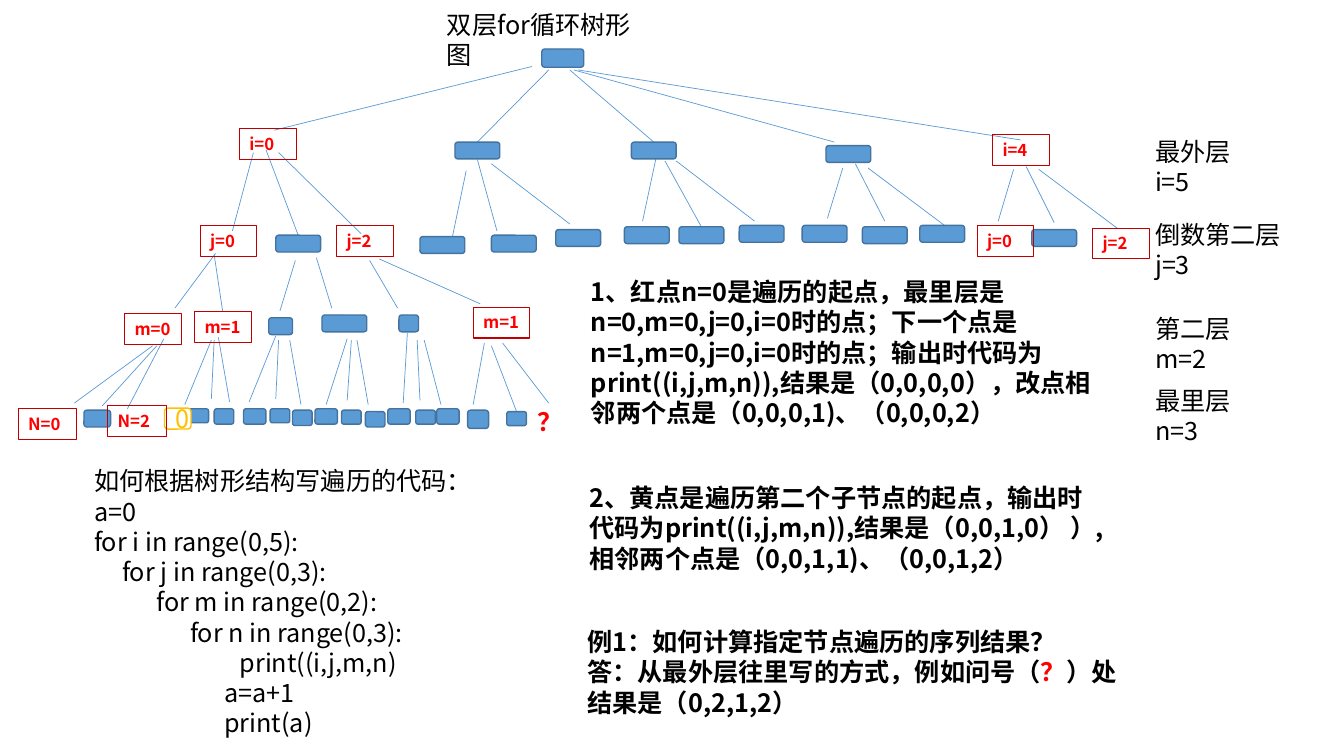
from pptx import Presentation
from pptx import util as u
from pptx.dml import color
from pptx.enum import shapes, text
from pptx.oxml import xmlchemy
from pptx.oxml.ns import qn
from lxml import etree

FONT = "Noto Sans CJK SC"
COLORS = {"node": "5B9BD5", "edge": "43739E", "text": "000000", "red": "FF0000",
          "tag": "C00000", "yellow": "FFC000", "white": "FFFFFF"}

TREE_LINES = [
    (380, 47.5, 196, 93), (392, 50, 341, 101.5), (407, 50, 467, 101.5),
    (410, 50, 596, 101.5), (413, 50, 729, 100),
    (181, 109, 166, 165), (190, 107, 213, 168), (199, 109, 258, 167),
    (333, 122, 323, 170), (341, 114, 355, 165), (351, 117, 407, 160),
    (469, 111, 459, 158), (475, 115, 501, 162), (483, 115, 539, 158),
    (602, 120, 591, 156), (611, 117, 632, 158), (620, 120, 676, 162),
    (724, 121, 713, 158), (733, 119, 753, 159), (742, 121, 798, 163),
    (154, 181, 125, 220), (153, 182, 159, 222), (211, 186, 200, 222),
    (226, 184, 237, 220), (264, 186, 284, 220), (271, 185, 343, 217),
    (109, 247, 53, 288), (112, 247, 73, 290), (117, 242, 91, 292),
    (151, 243, 132, 289), (153, 243, 151, 285), (156, 241, 164, 287),
    (197, 240, 178, 287), (199, 243, 197, 285), (207, 243, 215, 289),
    (248, 242, 233, 289), (251, 243, 248, 286), (255, 243, 263, 289),
    (291, 238, 288, 288), (298, 243, 300, 286), (303, 243, 315, 289),
    (346, 245, 338, 289), (351, 247, 369, 294), (359, 245, 392, 288),
]
WIDE_NODES = [
    (325, 101.5), (451, 101.5), (590, 104),
    (197, 168), (300, 169), (351, 168), (397, 164), (446, 162), (485, 162),
    (528, 161), (573, 161), (616, 162), (657, 161), (737, 164), (230, 225),
]
SMALL_NODES = [
    (387, 35, 30, 13), (192, 227, 17, 12), (285, 225, 14, 12), (60, 293, 19, 12),
    (135, 292, 14, 10), (153, 292, 14, 11), (174, 292, 16, 11), (193, 292, 14, 10),
    (209, 293, 14, 11), (225, 292, 16, 11), (244, 293, 14, 10), (261, 294, 14, 11),
    (277, 292, 16, 11), (297, 293, 14, 10), (312, 292, 16, 11), (334, 293, 15, 13),
    (362, 294, 14, 10),
]
TAGS = [
    ("i=0", 171, 92), ("i=4", 709, 96), ("j=0", 143, 161), ("j=2", 240.5, 161),
    ("j=0", 698, 161), ("j=2", 780.5, 163), ("m=0", 89, 224), ("m=1", 139, 222.5),
    ("m=1", 338, 219.5), ("N=0", 13, 292), ("N=2", 77, 289.5),
]
LEVELS = [("最外层i=5", 94, 86), ("倒数第二层j=3", 153, 120),
          ("第二层m=2", 220, 86), ("最里层n=3", 271.5, 86)]
CODE = [
    ("如何根据树形结构写遍历的代码：", 0), ("a=0", 0), ("for i in range(0,5):", 0),
    ("for j in range(0,3):", 20), ("for m in range(0,2):", 44.5),
    ("for n in range(0,3):", 68.5), ("print((i,j,m,n)", 104),
    ("a=a+1", 93), ("print(a)", 93),
]
NOTES = [
    (415, 194, 381, 138, [[
        ("1、红点n=0是遍历的起点，最里层是n=0,m=0,j=0,i=0时的点；下一个点是"
         "n=1,m=0,j=0,i=0时的点；输出时代码为print((i,j,m,n)),结果是（0,0,0,0），"
         "改点相邻两个点是（0,0,0,1)、（0,0,0,2）", "text")]]),
    (414, 341, 381, 95, [[
        ("2、黄点是遍历第二个子节点的起点，输出时代码为print((i,j,m,n)),"
         "结果是（0,0,1,0） ）,相邻两个点是（0,0,1,1)、（0,0,1,2）", "text")]]),
    (412.5, 444, 396, 73, [
        [("例1：如何计算指定节点遍历的序列结果？", "text")],
        [("答：从最外层往里写的方式，例如问号（", "text"), ("？", "red"),
         ("）处结果是（0,2,1,2）", "text")]]),
    (377, 286.5, 25, 29, [[("？", "red")]]),
]


def rgb(name):
    return color.RGBColor.from_string(COLORS[name])


def place(sp, x, y, w, h):
    sp.left, sp.top, sp.width, sp.height = (u.Pt(v) for v in (x, y, w, h))


def set_east_asian(rPr):
    ea = etree.SubElement(rPr, qn("a:ea"))
    ea.set("typeface", FONT)


def fill_text(sp, paragraphs, size=18, bold=False, align=text.PP_ALIGN.LEFT,
              anchor=text.MSO_ANCHOR.TOP):
    tf = sp.text_frame
    tf.word_wrap = True
    tf.auto_size = text.MSO_AUTO_SIZE.NONE
    tf.vertical_anchor = anchor
    for i, runs in enumerate(paragraphs):
        p = tf.paragraphs[0] if i == 0 else tf.add_paragraph()
        p.alignment = align
        p.line_spacing = u.Pt(size * 1.2)
        p.space_before = u.Pt(0)
        p.font.size, p.font.bold, p.font.name = u.Pt(size), bold, FONT
        for words, tone in runs:
            r = p.add_run()
            r.text = words
            r.font.size, r.font.bold, r.font.name = u.Pt(size), bold, FONT
            r.font.color.rgb = rgb(tone)
            set_east_asian(r.font._element)
    return tf


def add_text(s, x, y, w, h, paragraphs, **style):
    sp = s.shapes.add_textbox(u.Pt(x), u.Pt(y), u.Pt(w), u.Pt(h))
    fill_text(sp, paragraphs, **style)
    return sp


def add_line(s, *ends):
    ln = s.shapes.add_connector(shapes.MSO_CONNECTOR.STRAIGHT, *(u.Pt(v) for v in ends))
    ln.line.color.rgb = rgb("node")
    ln.line.width = u.Pt(0.5)
    etree.SubElement(ln._element.spPr, qn("a:effectLst"))


def add_node(s, x, y, w=32, h=12, fill="node", line="edge"):
    sp = s.shapes.add_shape(shapes.MSO_SHAPE.ROUNDED_RECTANGLE,
                            u.Pt(x), u.Pt(y), u.Pt(w), u.Pt(h))
    sp.shadow.inherit = False
    sp.fill.solid()
    sp.fill.fore_color.rgb = rgb(fill)
    sp.line.color.rgb = rgb(line)
    sp.line.width = u.Pt(1)
    return sp


def add_tag(s, label, x, y):
    width = 42 if label.startswith("N") else 40.5
    sp = add_text(s, x, y, width, 22, [[(label, "red")]], size=12, bold=True)
    sp.line.color.rgb = rgb("tag")
    sp.line.width = u.Pt(0.75)


def add_code(sp):
    place(sp, 60, 329, 287, 205)
    tf = fill_text(sp, [[(line, "text")] for line, _ in CODE])
    for p, (_, indent) in zip(tf.paragraphs, CODE):
        pPr = p._p.get_or_add_pPr()
        pPr.set("marL", str(u.Pt(indent)))
        pPr.set("indent", "0")
        pPr.insert_element_before(pPr.makeelement(qn("a:buNone"), {}),
                                  "a:tabLst", "a:defRPr", "a:extLst")


def main():
    prs = Presentation()
    prs.slide_width, prs.slide_height = u.Pt(960), u.Pt(540)
    s = prs.slides.add_slide(prs.slide_layouts[1])
    title, body = s.placeholders
    place(title, 312, 3, 163, 51)
    fill_text(title, [[("双层for循环树形图", "text")]])
    add_code(body)
    for ends in TREE_LINES:
        add_line(s, *ends)
    for box in WIDE_NODES + SMALL_NODES:
        add_node(s, *box)
    start = add_node(s, 117.5, 291.5, 19, 15, "white", "yellow")
    fill_text(start, [[("0", "yellow")]], align=text.PP_ALIGN.CENTER,
              anchor=text.MSO_ANCHOR.MIDDLE)
    for tag in TAGS:
        add_tag(s, *tag)
    for label, y, width in LEVELS:
        add_text(s, 818, y, width, 51, [[(label, "text")]])
    for x, y, w, h, paragraphs in NOTES:
        add_text(s, x, y, w, h, paragraphs, bold=True)
    prs.save("out.pptx")


main()
